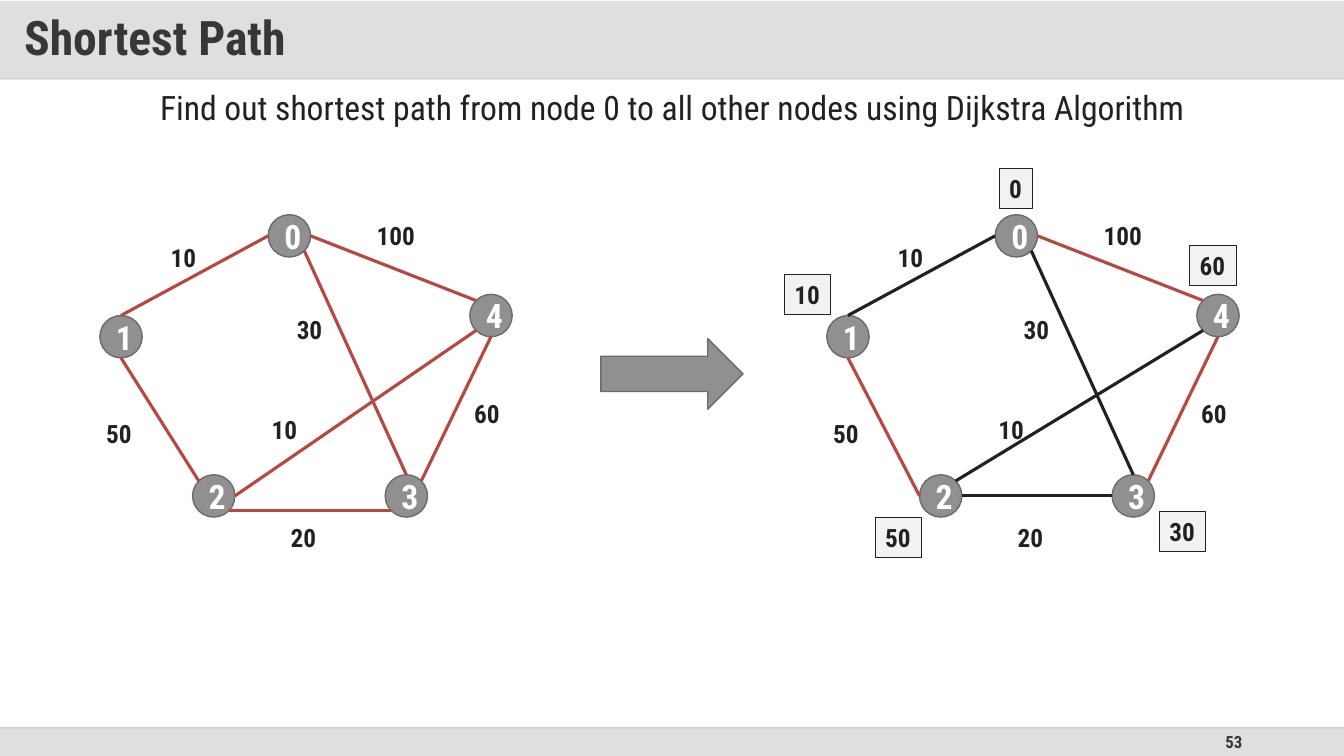
import math

from lxml import etree
from pptx import Presentation, util as u
from pptx.dml.color import RGBColor
from pptx.enum import shapes, text
from pptx.oxml import ns

FONT = "Roboto Condensed"
INK = RGBColor(0x21, 0x21, 0x21)
DARK = RGBColor(0x37, 0x37, 0x37)
WHITE = RGBColor(0xFF, 0xFF, 0xFF)
GRAY = RGBColor(0x90, 0x90, 0x90)
RIM = RGBColor(0x6B, 0x6B, 0x6B)
PALE = RGBColor(0xF2, 0xF2, 0xF2)
BAND = RGBColor(0xC0, 0xC0, 0xC0)
FOOT = RGBColor(0xDF, 0xDF, 0xDF)
RULE = RGBColor(0xD9, 0xD9, 0xD9)
EDGE = RGBColor(0xBF, 0xBF, 0xBF)
RED = RGBColor(0xB8, 0x47, 0x42)

KIND = shapes.MSO_SHAPE
ALIGN = text.PP_ALIGN
MID = {"vertical_anchor": text.MSO_ANCHOR.MIDDLE, "word_wrap": True}
GROW = {"auto_size": text.MSO_AUTO_SIZE.SHAPE_TO_FIT_TEXT}
LABEL = {**GROW, "word_wrap": False}

# Graph geometry, relative to the graph's corner
SIZE = 0.42
NODES = [(1.71, 0), (0.04, 1), (0.96, 2.58), (2.87, 2.58), (3.71, 0.79)]
COSTS = [("10", 0.64, 0.22), ("100", 2.68, 0.01), ("30", 1.89, 0.94),
         ("60", 3.65, 1.77), ("50", 0, 1.97), ("10", 1.64, 1.93),
         ("20", 1.83, 3)]
# Edges: node, site, node, site, colour; sites run anticlockwise from the top
SAME = [(0, 6, 4, 1, RED), (4, 4, 3, 7, RED)]
BEFORE = SAME + [(0, 2, 1, 0, RED), (1, 4, 2, 1, RED), (2, 5, 3, 3, RED),
                 (0, 5, 3, 0, RED), (2, 6, 4, 3, RED)]
AFTER = SAME + [(0, 2, 1, 0, INK), (1, 4, 2, 2, RED), (2, 6, 3, 2, INK),
                (0, 5, 3, 0, INK), (2, 7, 4, 3, INK)]
# Shortest distances found for nodes 0 to 4
FOUND = [("0", 1.75, -0.46), ("10", -0.38, 0.59), ("50", 0.52, 3),
         ("30", 3.34, 2.94), ("60", 3.64, 0.3)]


def put(item, values):
    for key, value in values.items():
        setattr(item, key, value)


def fade(fill, percent):
    color = fill._xPr.find(ns.qn("a:solidFill"))[0]
    etree.SubElement(color, ns.qn("a:alpha"), val=str(percent * 1000))


def write(shape, words, size, color, align, frame, bold=True):
    put(shape.text_frame, frame)
    para = shape.text_frame.paragraphs[0]
    para.alignment = align
    run = para.add_run()
    put(run, {"text": words})
    put(run.font, {"name": FONT, "size": u.Pt(size), "bold": bold})
    run.font.color.rgb = color
    return para


def form(slide, kind, at, fill, rim=None, width=1):
    shape = slide.shapes.add_shape(kind, *map(u.Inches, at))
    shape.shadow.inherit = False
    shape.fill.solid()
    shape.fill.fore_color.rgb = fill
    if rim is None:
        shape.line.fill.background()
    else:
        shape.line.color.rgb = rim
        shape.line.width = u.Pt(width)
    return shape


def label(slide, at, words, size, color, align, frame, bold=True):
    shape = slide.shapes.add_textbox(*map(u.Inches, at))
    write(shape, words, size, color, align, frame, bold)


def join(slide, start, end, color, width):
    line = slide.shapes.add_connector(
        shapes.MSO_CONNECTOR.STRAIGHT, *map(u.Inches, (*start, *end)))
    line.line.color.rgb = color
    line.line.width = u.Pt(width)
    etree.SubElement(line._element.spPr, ns.qn("a:effectLst"))
    return line


def footer(slide, left, top, width, height):
    bar = form(slide, KIND.ROUNDED_RECTANGLE, (left, top, width, height), FOOT)
    bar.adjustments[0] = 0
    label(slide, (left + 9.42, top, 3, height), "53", 12, DARK, ALIGN.RIGHT, MID)
    rule = join(slide, (left, top), (left + width, top), EDGE, 1)
    fade(rule.line.fill, 70)


def header(slide, left, top, width, height):
    base = top + height - 0.01
    join(slide, (left, base), (left + width, base), RULE, 1)
    bar = form(slide, KIND.RECTANGLE, (left, top, width, height), BAND)
    fade(bar.fill, 50)
    side, edge = u.Inches(0.24), u.Inches(0.12)
    inset = {"margin_left": side, "margin_right": side,
             "margin_top": edge, "margin_bottom": edge}
    para = write(bar, "Shortest Path", 34, DARK, ALIGN.LEFT, {**MID, **inset})
    para.line_spacing = 0.9


def graph(slide, left, top, edges, found=()):
    # Nodes
    for name, (x, y) in enumerate(NODES):
        disc = form(slide, KIND.OVAL, (left + x, top + y, SIZE, SIZE), GRAY, RIM)
        write(disc, str(name), 24, WHITE, ALIGN.CENTER, MID)

    def site(node, index):
        x, y = NODES[node]
        turn, half = index * math.pi / 4, SIZE / 2
        return (left + x + half - half * math.sin(turn),
                top + y + half - half * math.cos(turn))

    # Edges and their costs
    for a, out, b, into, color in edges:
        join(slide, site(a, out), site(b, into), color, 2.25)
    for words, x, y in COSTS:
        wide = 0.2 + 0.13 * len(words)
        label(slide, (left + x, top + y, wide, 0.4), words, 18, INK,
              ALIGN.CENTER, LABEL)

    # Distances in boxes
    for words, x, y in found:
        wide = 0.2 + 0.13 * len(words)
        tag = form(slide, KIND.RECTANGLE, (left + x, top + y, wide, 0.4),
                   PALE, INK, 0.5)
        frame = {**LABEL, "vertical_anchor": text.MSO_ANCHOR.TOP}
        write(tag, words, 18, INK, ALIGN.LEFT, frame)


def main():
    deck = Presentation()
    put(deck, {"slide_width": u.Inches(13.33), "slide_height": u.Inches(7.5)})
    slide = deck.slides.add_slide(deck.slide_layouts[6])

    # Frame of the slide
    footer(slide, 0, 7.22, 13.33, 0.28)
    header(slide, 0, 0.01, 13.33, 0.78)

    # Task
    label(slide, (0.37, 0.81, 12.6, 0.5),
          "Find out shortest path from node 0 to all other nodes "
          "using Dijkstra Algorithm",
          24, INK, ALIGN.CENTER, {**GROW, "word_wrap": True}, False)

    # Graph before and after
    graph(slide, 0.95, 2.13, BEFORE)
    graph(slide, 8.16, 2.13, AFTER, FOUND)
    form(slide, KIND.RIGHT_ARROW, (5.96, 3.36, 1.41, 0.7), GRAY, RIM)

    deck.save("out.pptx")


if __name__ == "__main__":
    main()
